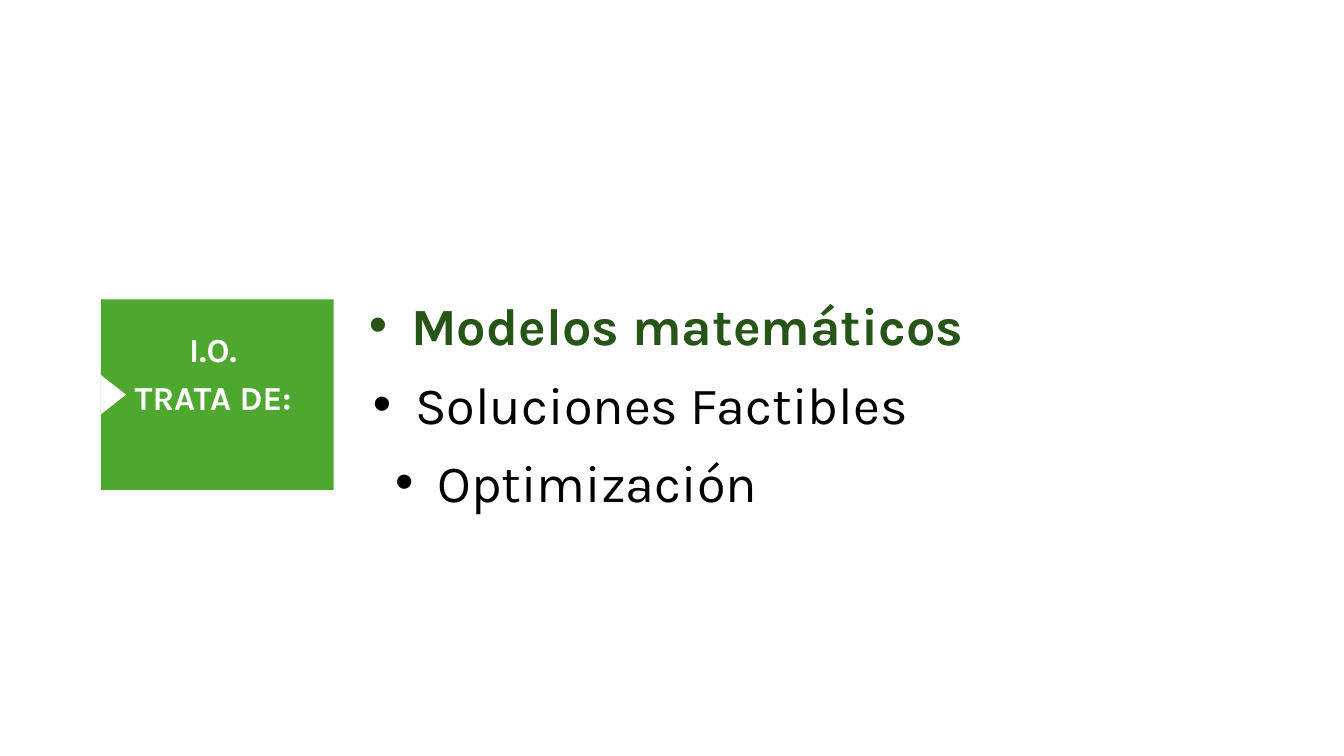
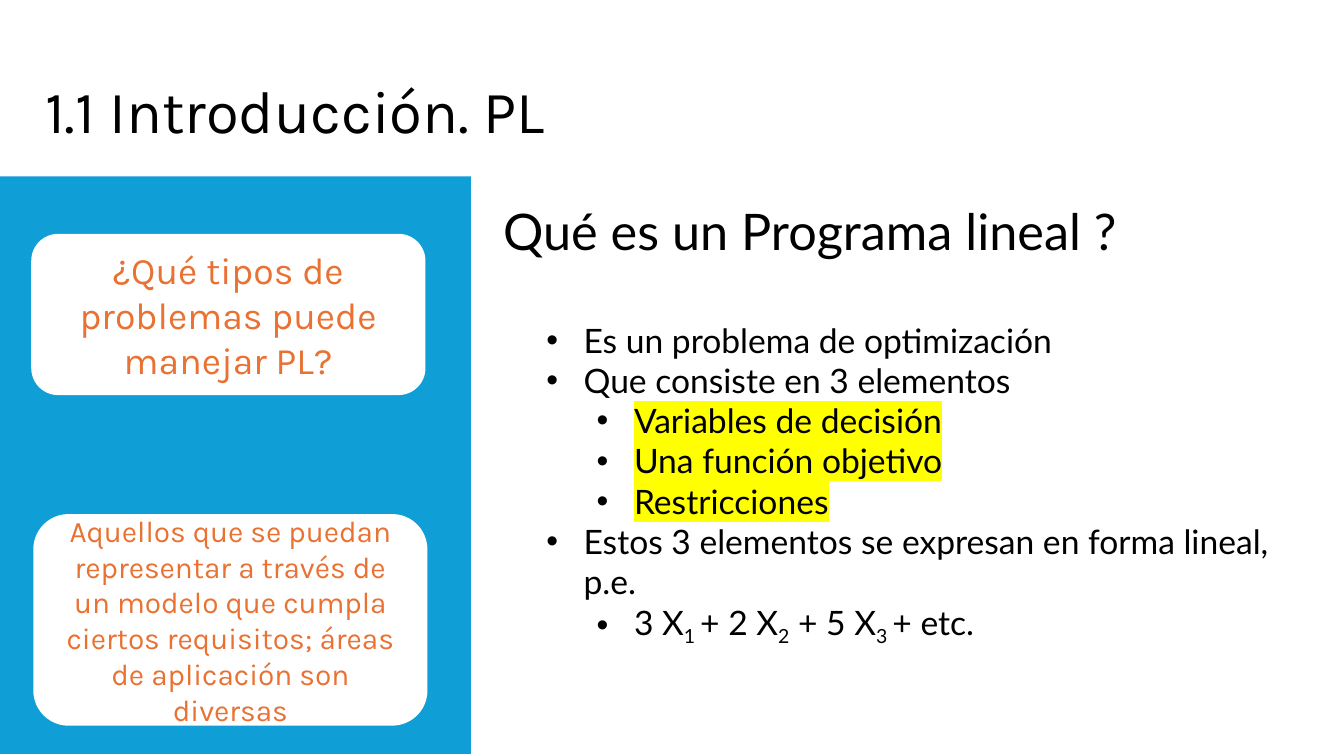
from dataclasses import dataclass

from lxml.etree import SubElement
from pptx import Presentation
from pptx.dml.color import RGBColor
from pptx.enum.shapes import MSO_SHAPE
from pptx.enum.text import MSO_ANCHOR, PP_ALIGN
from pptx.oxml.ns import qn
from pptx.util import Inches, Pt


@dataclass(frozen=True)
class Theme:
    heading_font: str = "Karla"
    body_font: str = "Lato"
    black: str = "000000"
    white: str = "FFFFFF"
    green: str = "4EA72E"
    dark_green: str = "275417"
    blue: str = "0F9ED5"
    orange: str = "E97132"
    yellow: str = "FFFF00"
    section: float = 42.7
    topic: float = 37.3
    title: float = 36
    question: float = 26.7
    body: float = 24
    answer: float = 21.3


T = Theme()


def add_box(s, kind, at, fill=None):
    """Add a filled preset shape, or a text box when kind is None."""
    at = [Inches(v) for v in at]
    if kind is None:
        sp = s.shapes.add_textbox(*at)
    else:
        sp = s.shapes.add_shape(kind, *at)
        sp.shadow.inherit = False
        sp.fill.solid()
        sp.fill.fore_color.rgb = RGBColor.from_string(fill)
        sp.line.fill.background()
    sp.text_frame.word_wrap = True
    return sp


def style(p, size, color, font=T.heading_font, bold=False, align=None, bullet=None):
    """Format a paragraph's runs; bullet is (left margin, hanging indent)."""
    p.alignment = align
    for r in p.runs:
        r.font.size = Pt(size)
        r.font.name = font
        r.font.bold = bold
        r.font.color.rgb = RGBColor.from_string(color)
    if bullet:
        margin, hanging = bullet
        pPr = p._p.get_or_add_pPr()
        pPr.set("marL", str(Inches(margin)))
        pPr.set("indent", str(-Inches(hanging)))
        SubElement(pPr, qn("a:buFont")).set("typeface", "Arial")
        SubElement(pPr, qn("a:buChar")).set("char", "•")


prs = Presentation()
prs.slide_width, prs.slide_height = Inches(13.33), Inches(7.5)

# Slide 1: what the subject deals with
s = prs.slides.add_slide(prs.slide_layouts[6])
add_box(s, MSO_SHAPE.RECTANGLE, (1, 2.97, 2.31, 1.89), T.green)
notch = add_box(s, MSO_SHAPE.ISOSCELES_TRIANGLE, (0.93, 3.79, 0.39, 0.25), T.white)
notch.rotation = 90

tf = add_box(s, None, (1, 3.26, 2.31, 0.89)).text_frame
tf.margin_left = tf.margin_top = tf.margin_right = tf.margin_bottom = 0
tf.text = "I.O. \nTRATA DE: "
for p in tf.paragraphs:
    style(p, T.body, T.white, bold=True, align=PP_ALIGN.CENTER)
    p.space_before = Pt(5.6)

# Topics, the first one emphasised
topics = [
    ("Modelos matemáticos", 3.56, T.dark_green, True),
    ("Soluciones Factibles", 3.6, T.black, False),
    ("Optimización", 3.82, T.black, False),
]
for i, (text, left, color, bold) in enumerate(topics):
    tf = add_box(s, None, (left, 2.86 + 0.78 * i, 8.07, 0.73)).text_frame
    tf.text = text
    style(tf.paragraphs[0], T.topic, color, bold=bold, bullet=(0.42, 0.42))

# Slide 2: introduction to linear programming
s = prs.slides.add_slide(prs.slide_layouts[5])
add_box(s, MSO_SHAPE.RECTANGLE, (0, 1.75, 4.67, 5.73), T.blue)

tf = add_box(s, None, (0.35, 0.68, 11.33, 0.82)).text_frame
tf.text = "1.1 Introducción. PL"
style(tf.paragraphs[0], T.section, T.black)

title = s.shapes.title
title.left, title.top = Inches(4.89), Inches(2.01)
title.width, title.height = Inches(8.22), Inches(0.63)
title.text_frame.text = "Qué es un Programa lineal ?"
title.text_frame.vertical_anchor = MSO_ANCHOR.MIDDLE
p = title.text_frame.paragraphs[0]
style(p, T.title, T.black, T.body_font, align=PP_ALIGN.LEFT)
p.line_spacing = 0.9

# Question and answer cards
cards = [
    ((0.31, 2.32, 3.91, 1.6), T.question, "¿Qué tipos de problemas puede manejar PL?"),
    ((0.33, 5.1, 3.91, 2.1), T.answer,
     "Aquellos que se puedan representar a través de un modelo que cumpla "
     "ciertos requisitos; áreas de aplicación son diversas"),
]
for at, size, text in cards:
    tf = add_box(s, MSO_SHAPE.ROUNDED_RECTANGLE, at, T.white).text_frame
    tf.text = text
    tf.vertical_anchor = MSO_ANCHOR.MIDDLE
    style(tf.paragraphs[0], size, T.orange, align=PP_ALIGN.CENTER)

# Definition list: level, highlighted, runs (every second run is a subscript)
points = [
    (0, False, ["Es un problema de optimización"]),
    (0, False, ["Que consiste en 3 elementos"]),
    (1, True, ["Variables de decisión"]),
    (1, True, ["Una función objetivo"]),
    (1, True, ["Restricciones"]),
    (0, False, ["Estos 3 elementos se expresan en forma lineal, p.e."]),
    (1, False, ["3 X", "1 ", "+ 2 X", "2", " + 5 X", "3 ", "+ etc."]),
]
tf = add_box(s, None, (5.32, 3.12, 7.57, 3.33)).text_frame
for i, (level, marked, texts) in enumerate(points):
    p = tf.add_paragraph() if i else tf.paragraphs[0]
    p.level = level
    for text in texts:
        p.add_run().text = text
    style(p, T.body, T.black, T.body_font, bullet=(0.37 + 0.5 * level, 0.37))
    for r in p.runs[1::2]:
        r._r.get_or_add_rPr().set("baseline", "-25000")
    if marked:
        rPr = p.runs[0]._r.get_or_add_rPr()
        highlight = SubElement(rPr, qn("a:highlight"))
        SubElement(highlight, qn("a:srgbClr")).set("val", T.yellow)
        rPr.find(qn("a:latin")).addprevious(highlight)

prs.save("out.pptx")
